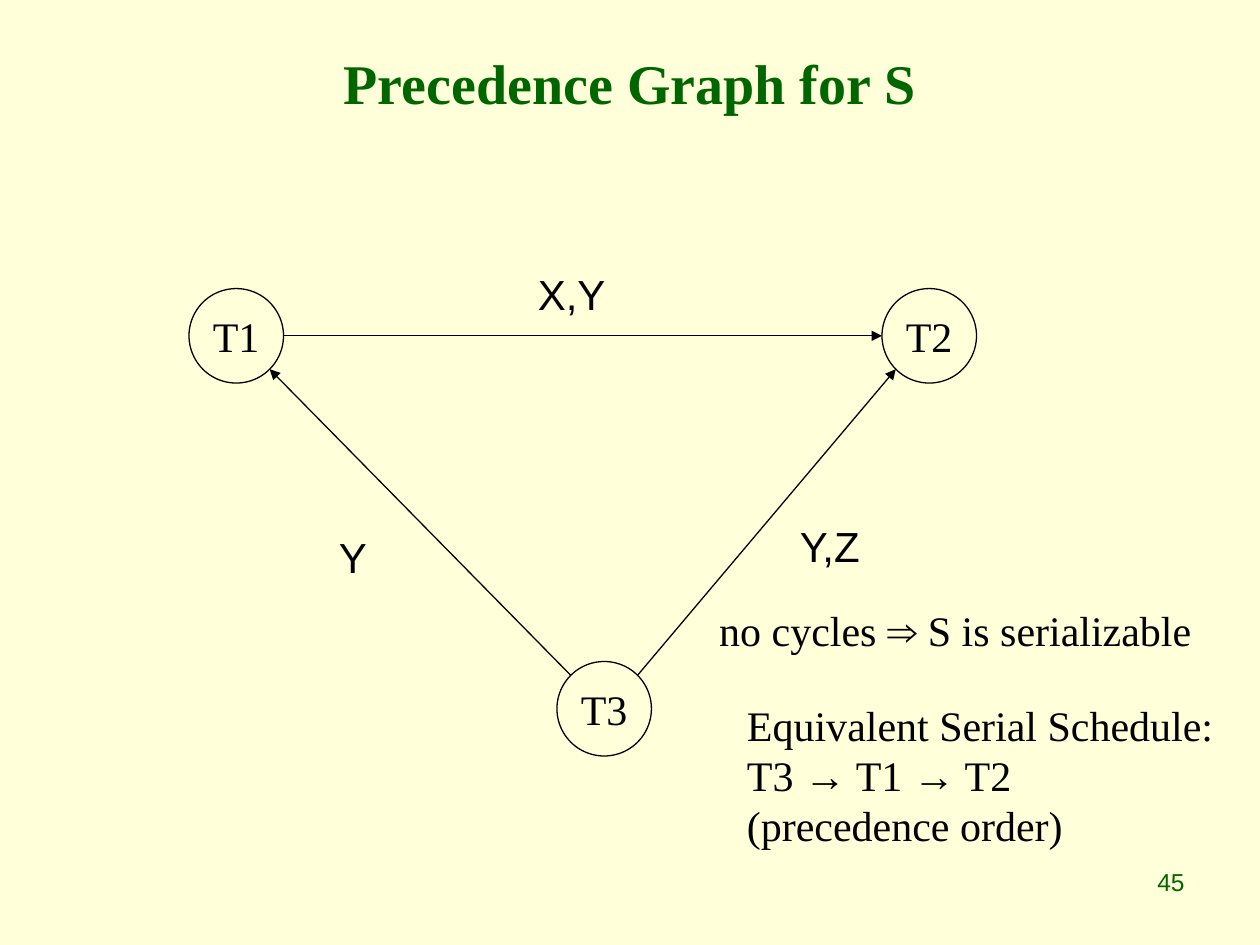
"""Build the precedence graph slide for schedule S."""
from itertools import groupby
from math import sqrt

from lxml import etree
from pptx import Presentation
from pptx import util as u
from pptx.dml.color import RGBColor
from pptx.enum import shapes, text
from pptx.oxml import ns

INK = {"page": "FFFFD9", "head": "006600", "text": "000000"}
SERIF, SANS = "Times New Roman", "Arial"
SIZE = 0.75
LEFT, MID, RIGHT = text.PP_ALIGN.LEFT, text.PP_ALIGN.CENTER, text.PP_ALIGN.RIGHT


def tone(name):
    return RGBColor.from_string(INK[name])


def write(shape, words, face=SERIF, size=24, ink="text", bold=False,
          align=LEFT, anchor=text.MSO_ANCHOR.TOP, wrap=False):
    frame = shape.text_frame
    form = {"word_wrap": wrap, "vertical_anchor": anchor}
    for key, val in form.items():
        setattr(frame, key, val)
    for i, line in enumerate(words.split("\n")):
        para = frame.add_paragraph() if i else frame.paragraphs[0]
        para.alignment = align
        for sign, part in groupby(line, lambda c: c in "→⇒"):
            run = para.add_run()
            run.text = "".join(part)
            form = {"name": SANS if sign else face, "size": u.Pt(size), "bold": bold}
            for key, val in form.items():
                setattr(run.font, key, val)
            run.font.color.rgb = tone(ink)


deck = Presentation()
deck.slide_width, deck.slide_height = u.Inches(10), u.Inches(7.5)
slide = deck.slides.add_slide(deck.slide_layouts[6])
slide.background.fill.solid()
slide.background.fill.fore_color.rgb = tone("page")

nodes = {"T1": (1.5, 2.29), "T2": (7, 2.29), "T3": (4.42, 5.25)}
for name, (x, y) in nodes.items():
    node = slide.shapes.add_shape(shapes.MSO_SHAPE.OVAL, *map(u.Inches, (x, y, SIZE, SIZE)))
    node.shadow.inherit = False
    node.fill.solid()
    node.fill.fore_color.rgb = tone("page")
    node.line.color.rgb = tone("text")
    node.line.width = u.Pt(0.75)
    write(node, name, align=MID, anchor=text.MSO_ANCHOR.MIDDLE)

diag = 1 / sqrt(2)
edges = [
    ("T1", (1, 0), "T2", (-1, 0)),
    ("T3", (-diag, -diag), "T1", (diag, diag)),
    ("T3", (diag, -diag), "T2", (-diag, diag)),
]
for start, out, end, into in edges:
    ends = [u.Inches(pos + SIZE / 2 * (1 + way))
            for name, side in ((start, out), (end, into))
            for pos, way in zip(nodes[name], side)]
    edge = slide.shapes.add_connector(shapes.MSO_CONNECTOR.STRAIGHT, *ends)
    edge.line.color.rgb = tone("text")
    edge.line.width = u.Pt(0.75)
    etree.SubElement(edge.line._get_or_add_ln(), ns.qn("a:tailEnd"), type="triangle")
    etree.SubElement(edge._element.spPr, ns.qn("a:effectLst"))

sans = {"face": SANS}
title = {"size": 32, "ink": "head", "bold": True, "align": MID,
         "anchor": text.MSO_ANCHOR.MIDDLE, "wrap": True}
page = {"face": SANS, "size": 14, "ink": "head", "align": RIGHT, "wrap": True}
notes = [
    ("Precedence Graph for S", (0.5, 0.3, 9, 0.7), title),
    ("X,Y", (4.17, 2.08, 0.74, 0.5), sans),
    ("Y", (2.59, 4.17, 0.42, 0.5), sans),
    ("Y,Z", (6.25, 4.08, 0.72, 0.5), sans),
    ("no cycles ⇒ S is serializable", (5.61, 4.75, 4.06, 0.5), {}),
    ("Equivalent Serial Schedule:\nT3 → T1 → T2\n(precedence order)",
     (5.83, 5.5, 3.9, 1.3), {}),
    ("45", (7.17, 6.83, 2.33, 0.52), page),
]
for words, area, look in notes:
    write(slide.shapes.add_textbox(*map(u.Inches, area)), words, **look)

deck.save("out.pptx")
